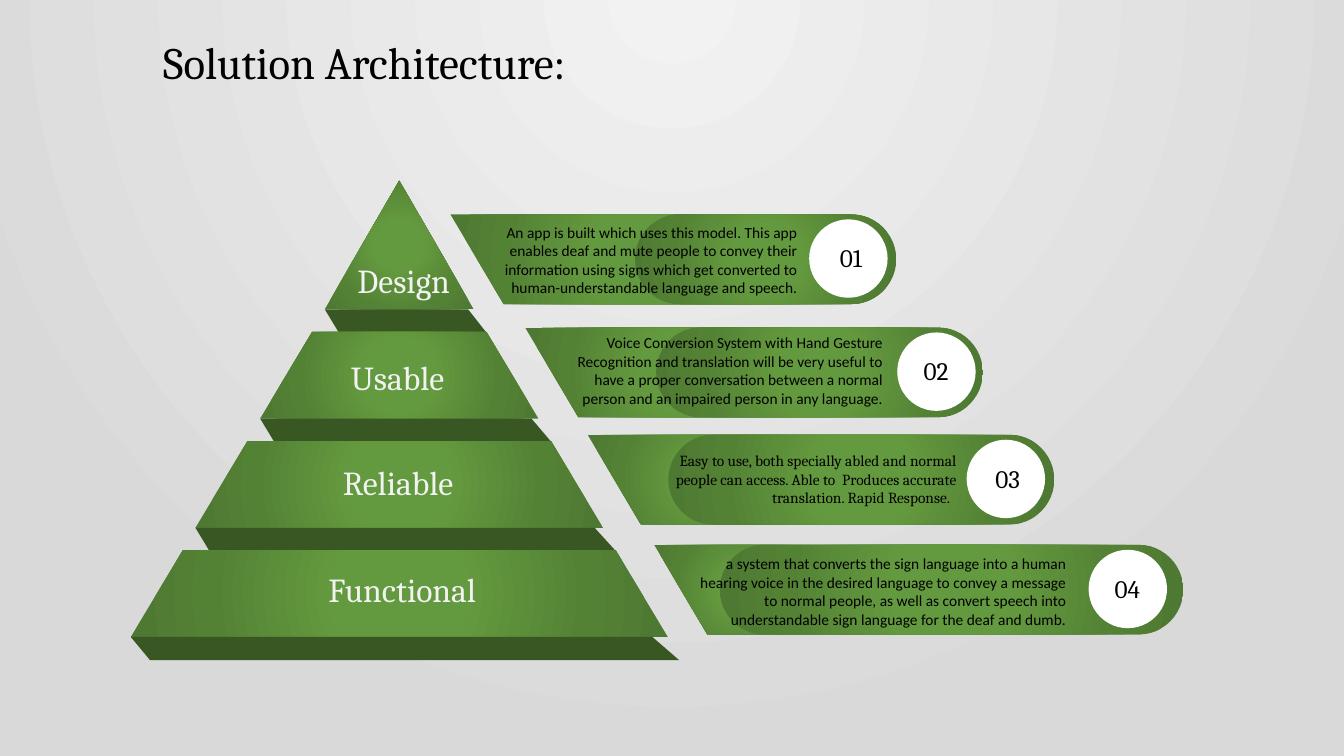
from lxml import etree
from pptx import Presentation
from pptx.dml import color as dml
from pptx.enum import shapes, text
from pptx.oxml import ns
from pptx.util import Pt

GREEN = [(0, "649A3F"), (23, "649A3F"), (69, "548235"), (97, "4E7932")]
BACKDROP = [(0, "F2F2F2"), (100, "D9D9D9")]

TIERS = [
    ("Design", 288.4, 182.2, (10, 4, 9)),
    ("Usable", 284, 251.3, (10, 5, 9)),
    ("Reliable", 284.4, 326.2, (10, 6, 9)),
    ("Functional", 287.3, 402.5, (13.7, 11, 8)),
]

BARS = [
    ("01", (321.8, 153.2, 318.4), 453.6, 586, 62.2, 6.4, (351.4, 155.5, 225.4), "Calibri",
     "An app is built which uses this model. This app enables deaf and mute people to convey "
     "their information using signs which get converted to human-understandable language and speech."),
    ("02", (375.1, 234, 327), 468.7, 594.7, 61.2, 4.3, (400.3, 234.7, 237.6), "Calibri",
     "Voice Conversion System with Hand Gesture Recognition and translation will be very useful to "
     "have a proper conversation between a normal person and an impaired person in any language."),
    ("03", (419.8, 310.6, 333.3), 477.4, 592.6, 62.6, 5.8, (465.1, 319, 225.4), "Cambria",
     "Easy to use, both specially abled and normal people can access. Able to  Produces accurate "
     "translation. Rapid Response.  "),
    ("04", (467.3, 389.2, 378), 514.1, 593.3, 67.7, 4.3, (490.3, 392.4, 278.6), "Calibri",
     "a system that converts the sign language into a human hearing voice in the desired language to "
     "convey a message to normal people, as well as convert speech into understandable sign language "
     "for the deaf and dumb."),
]


def rgb(hex_code):
    """Turn a hex string into a colour."""
    return dml.RGBColor.from_string(hex_code)


def radial(fill, element, stops, focus):
    """Give a fill a circular gradient around a focus rectangle in percent."""
    fill.gradient()
    gradient = next(element.iter(ns.qn("a:gradFill")))
    gradient.clear()
    gradient.set("rotWithShape", "1")
    stop_list = etree.SubElement(gradient, ns.qn("a:gsLst"))
    for position, hex_code in stops:
        stop = etree.SubElement(stop_list, ns.qn("a:gs"), pos=str(position * 1000))
        etree.SubElement(stop, ns.qn("a:srgbClr"), val=hex_code)
    circle = etree.SubElement(gradient, ns.qn("a:path"), path="circle")
    sides = {side: str(share * 1000) for side, share in zip("ltrb", focus)}
    etree.SubElement(circle, ns.qn("a:fillToRect"), **sides)


def finish(shape, hex_code=None):
    """Remove line and shadow, then fill with a colour or the green gradient."""
    shape.shadow.inherit = False
    shape.line.fill.background()
    if hex_code:
        shape.fill.solid()
        shape.fill.fore_color.rgb = rgb(hex_code)
    else:
        radial(shape.fill, shape.element, GREEN, (50, 50, 50, 50))


def add_preset(slide, kind, box, hex_code=None, adjustment=None):
    """Add a preset shape in a box."""
    preset = slide.shapes.add_shape(kind, *map(Pt, box))
    if adjustment is not None:
        preset.adjustments[0] = adjustment
    finish(preset, hex_code)


def add_outline(slide, corners, hex_code=None):
    """Add a closed polygon through the corners."""
    start, *others = [(Pt(x), Pt(y)) for x, y in corners]
    builder = slide.shapes.build_freeform(*start)
    builder.add_line_segments(others, close=True)
    finish(builder.convert_to_shape(), hex_code)


def write(holder, words, size, font, hex_code, align, wrap=True):
    """Set the text of a shape and format it."""
    frame = holder.text_frame
    frame.text = words
    frame.word_wrap = wrap
    frame.auto_size = text.MSO_AUTO_SIZE.NONE
    frame.vertical_anchor = text.MSO_ANCHOR.TOP
    paragraph = frame.paragraphs[0]
    paragraph.alignment = align
    for run in paragraph.runs:
        run.font.size = Pt(size)
        run.font.name = font
        run.font.color.rgb = rgb(hex_code)


def add_words(slide, box, *style):
    """Add a text box with formatted words."""
    write(slide.shapes.add_textbox(*map(Pt, box)), *style)


def draw_title(slide, left, top, width, height):
    """Place the slide title."""
    title = slide.shapes.title
    title.left, title.top, title.width, title.height = map(Pt, (left, top, width, height))
    write(title, "Solution Architecture:", 32, "Cambria", "000000", text.PP_ALIGN.LEFT, False)


def draw_pyramid(slide, center, top):
    """Draw the four tiers with their ledges and labels."""
    for level, (label, label_center, label_top, ledge) in enumerate(TIERS):
        half = 53.2 + 46.2 * level
        height = 62 if level else 92
        base = top + 92 + 78 * level
        kind = shapes.MSO_SHAPE.TRAPEZOID if level else shapes.MSO_SHAPE.ISOSCELES_TRIANGLE
        add_preset(slide, kind, (center - half, base - height, 2 * half, height),
                   adjustment=0.6 if level else 0.5)
        left, right = center - half, center + half
        inset, cut, overhang = ledge
        add_outline(slide, [(left, base), (left + inset, base + 16.5),
                            (right + overhang, base + 16.5), (right - cut, base)], "385723")
        add_words(slide, (label_center - 65, label_top, 130, 36), label, 24, "Cambria",
                  "F2F2F2", text.PP_ALIGN.CENTER)


def draw_bar(slide, box, number, pill_left, wedge_right, disc_back, number_inset,
             note_box, note_font, note):
    """Draw one numbered bar with its note."""
    left, top, width = box
    right, height = left + width, 64
    add_outline(slide, [(left, top), (wedge_right, top), (wedge_right, top + height),
                        (left + 38, top + height)])
    add_preset(slide, shapes.MSO_SHAPE.ROUNDED_RECTANGLE,
               (pill_left, top, right - pill_left, height), adjustment=0.5)
    disc_left = right - disc_back
    add_preset(slide, shapes.MSO_SHAPE.OVAL, (disc_left, top + 3.5, 56, 56), "FFFFFF")
    add_words(slide, (disc_left + number_inset, top + 16.5, 46.8, 29), number, 18, "Cambria",
              "000000", text.PP_ALIGN.CENTER)
    add_words(slide, (*note_box, 60), note, 11, note_font, "000000", text.PP_ALIGN.RIGHT)


def main():
    """Build and save the slide."""
    deck = Presentation()
    deck.slide_width, deck.slide_height = Pt(960), Pt(540)
    slide = deck.slides.add_slide(deck.slide_layouts[5])
    radial(slide.background.fill, slide.element, BACKDROP, (50, -80, 50, 180))
    draw_title(slide, 109.4, 20.9, 317.5, 46)
    draw_pyramid(slide, 285.2, 129)
    for number, box, *parts in BARS:
        draw_bar(slide, box, number, *parts)
    deck.save("out.pptx")


if __name__ == "__main__":
    main()
